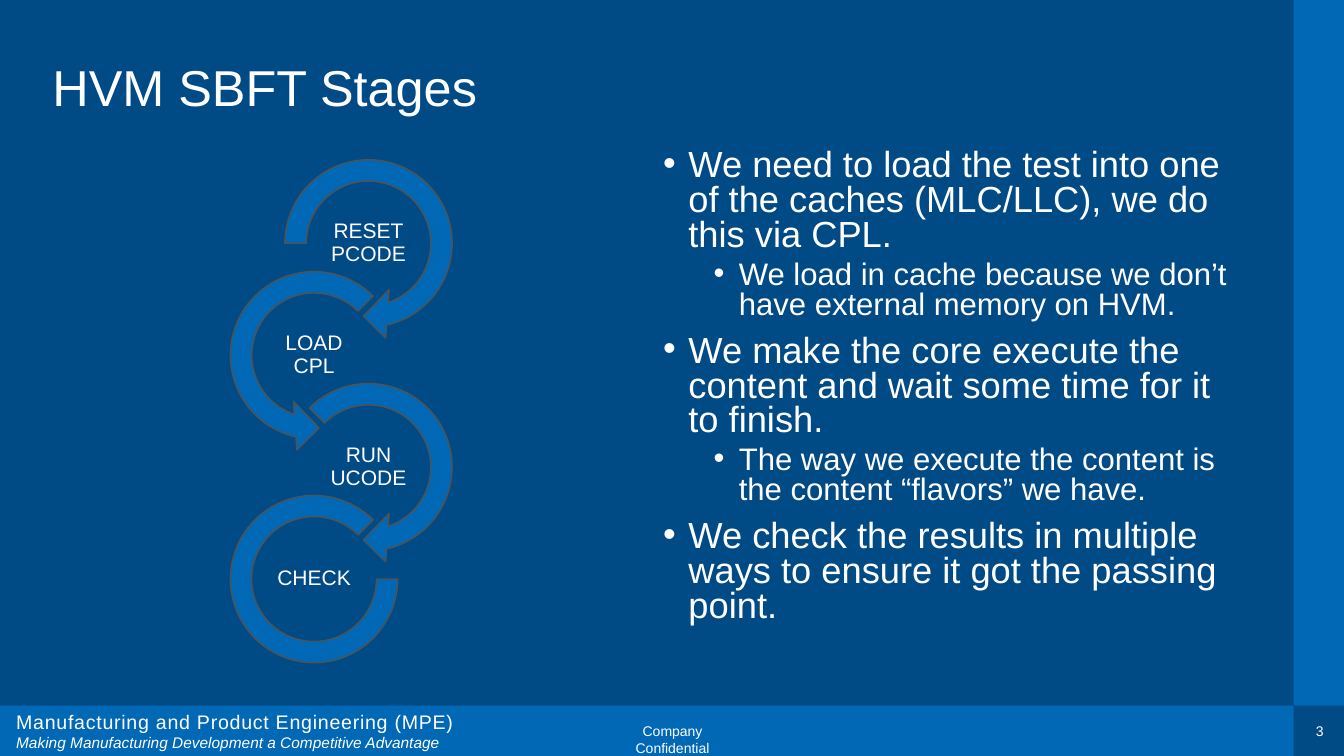
"""Build the HVM SBFT stages slide."""
from lxml import etree
from pptx import Presentation
from pptx.dml.color import RGBColor
from pptx.enum.shapes import MSO_SHAPE
from pptx.enum.text import MSO_ANCHOR, MSO_AUTO_SIZE, PP_ALIGN
from pptx.oxml.ns import qn
from pptx.util import Inches, Pt

LEFT, CENTER = PP_ALIGN.LEFT, PP_ALIGN.CENTER
TOP, MIDDLE = MSO_ANCHOR.TOP, MSO_ANCHOR.MIDDLE
NAVY, BLUE, GRAY, WHITE = "004A86", "0068B5", "525252", "FFFFFF"
FONT = "Arial"

TITLE = "HVM SBFT Stages"
STAGES = [
    ("RESET\vPCODE", MSO_SHAPE.CIRCULAR_ARROW, (0.11, 11.42, 45, 108, 0.125)),
    ("LOAD\vCPL", MSO_SHAPE.LEFT_CIRCULAR_ARROW, (0.11, 11.42, 63, 189, 0.125)),
    ("RUN\vUCODE", MSO_SHAPE.CIRCULAR_ARROW, (0.11, 11.42, 45, 135, 0.125)),
    ("CHECK", MSO_SHAPE.BLOCK_ARC, (0, 189, 0.127)),
]
BULLETS = [
    (0, "We need to load the test into one of the caches (MLC/LLC), we do this via CPL."),
    (1, "We load in cache because we don’t have external memory on HVM."),
    (0, "We make the core execute the content and wait some time for it to finish."),
    (1, "The way we execute the content is the content “flavors” we have."),
    (0, "We check the results in multiple ways to ensure it got the passing point."),
]
BULLET_SIZES, BULLET_GAPS = (25.9, 22.2), (10, 5)
BARS = [(0, 7, 12.83, 0.5), (12.83, 0, 0.5, 7)]
DEPARTMENT = "Manufacturing and Product Engineering (MPE)"
MOTTO = "Making Manufacturing Development a Competitive Advantage"
CONFIDENTIAL = "Company Confidential"
PAGE_NUMBER = "3"

STAGE_TOP, STAGE_STEP, STAGE_SIZE = 1.45, 1.11, 1.93
STAGE_LEFTS = (2.69, 2.15)
ARC_INSET = 0.135
LABEL_OFFSET = (0.425, 0.695)


def color(value):
    return RGBColor.from_string(value)


def write(paragraph, text, size, **formats):
    paragraph.text = text
    values = {"name": FONT, "size": Pt(size), **formats}
    for run in paragraph.runs:
        for name, value in values.items():
            setattr(run.font, name, value)
        run.font.color.rgb = color(WHITE)


def format_frame(frame, anchor=TOP, margin=None, wrap=True):
    values = {"word_wrap": wrap, "auto_size": MSO_AUTO_SIZE.NONE, "vertical_anchor": anchor}
    if margin is not None:
        for side in ("left", "top", "right", "bottom"):
            values["margin_" + side] = Inches(margin)
    for name, value in values.items():
        setattr(frame, name, value)
    return frame


def add_text(slide, box, **formats):
    shape = slide.shapes.add_textbox(*map(Inches, box))
    return format_frame(shape.text_frame, **formats)


def add_shape(slide, kind, box, line=None):
    shape = slide.shapes.add_shape(kind, *map(Inches, box))
    shape.shadow.inherit = False
    shape.fill.solid()
    shape.fill.fore_color.rgb = color(BLUE)
    if line:
        shape.line.color.rgb = color(line)
        shape.line.width = Pt(1)
    else:
        shape.line.fill.background()
    return shape


def add_footer(slide):
    for box in BARS:
        add_shape(slide, MSO_SHAPE.RECTANGLE, box)
    for text, box, margin in (
        (CONFIDENTIAL, (6.06, 7.12, 1.22, 0.27), None),
        (PAGE_NUMBER, (13.01, 7.17, 0.16, 0.17), 0),
    ):
        paragraph = add_text(slide, box, margin=margin).paragraphs[0]
        paragraph.alignment = CENTER
        write(paragraph, text, 10)
    frame = add_text(slide, (0.16, 7.04, 7.39, 0.42), margin=0)
    write(frame.paragraphs[0], DEPARTMENT, 14)
    frame.paragraphs[0].runs[0].font._element.set("spc", "50")
    write(frame.add_paragraph(), MOTTO, 11, italic=True)


def add_title(slide):
    title = slide.shapes.title
    title.left, title.top, title.width, title.height = map(Inches, (0.42, 0.24, 12, 1.31))
    paragraph = format_frame(title.text_frame, anchor=MIDDLE).paragraphs[0]
    paragraph.alignment = LEFT
    paragraph.line_spacing = 0.9
    write(paragraph, TITLE, 36)


def add_stages(slide):
    for index, (label, kind, adjustments) in enumerate(STAGES):
        left = STAGE_LEFTS[index % 2]
        top = STAGE_TOP + index * STAGE_STEP
        inset = ARC_INSET if kind == MSO_SHAPE.BLOCK_ARC else 0
        size = STAGE_SIZE - 2 * inset
        ring = add_shape(slide, kind, (left + inset, top + inset, size, size), GRAY)
        for position, value in enumerate(adjustments):
            ring.adjustments[position] = value
        box = (left + LABEL_OFFSET[0], top + LABEL_OFFSET[1], 1.08, 0.54)
        paragraph = add_text(slide, box, anchor=MIDDLE, margin=0.01).paragraphs[0]
        paragraph.alignment = CENTER
        paragraph.line_spacing = 0.9
        write(paragraph, label, 15)


def add_bullets(slide):
    frame = add_text(slide, (6.48, 1.44, 5.94, 5.13))
    for index, (level, text) in enumerate(BULLETS):
        paragraph = frame.add_paragraph() if index else frame.paragraphs[0]
        paragraph.level = level
        paragraph.line_spacing = 0.8
        if index:
            paragraph.space_before = Pt(BULLET_GAPS[level])
        properties = paragraph._p.get_or_add_pPr()
        properties.set("marL", str(Inches(0.25 + 0.5 * level)))
        properties.set("indent", str(Inches(-0.25)))
        etree.SubElement(properties, qn("a:buFont")).set("typeface", FONT)
        etree.SubElement(properties, qn("a:buChar")).set("char", "•")
        write(paragraph, text, BULLET_SIZES[level])


def main():
    presentation = Presentation()
    presentation.slide_width, presentation.slide_height = Inches(13.33), Inches(7.5)
    slide = presentation.slides.add_slide(presentation.slide_layouts[5])
    slide.background.fill.solid()
    slide.background.fill.fore_color.rgb = color(NAVY)
    add_footer(slide)
    add_title(slide)
    add_stages(slide)
    add_bullets(slide)
    presentation.save("out.pptx")


if __name__ == "__main__":
    main()
